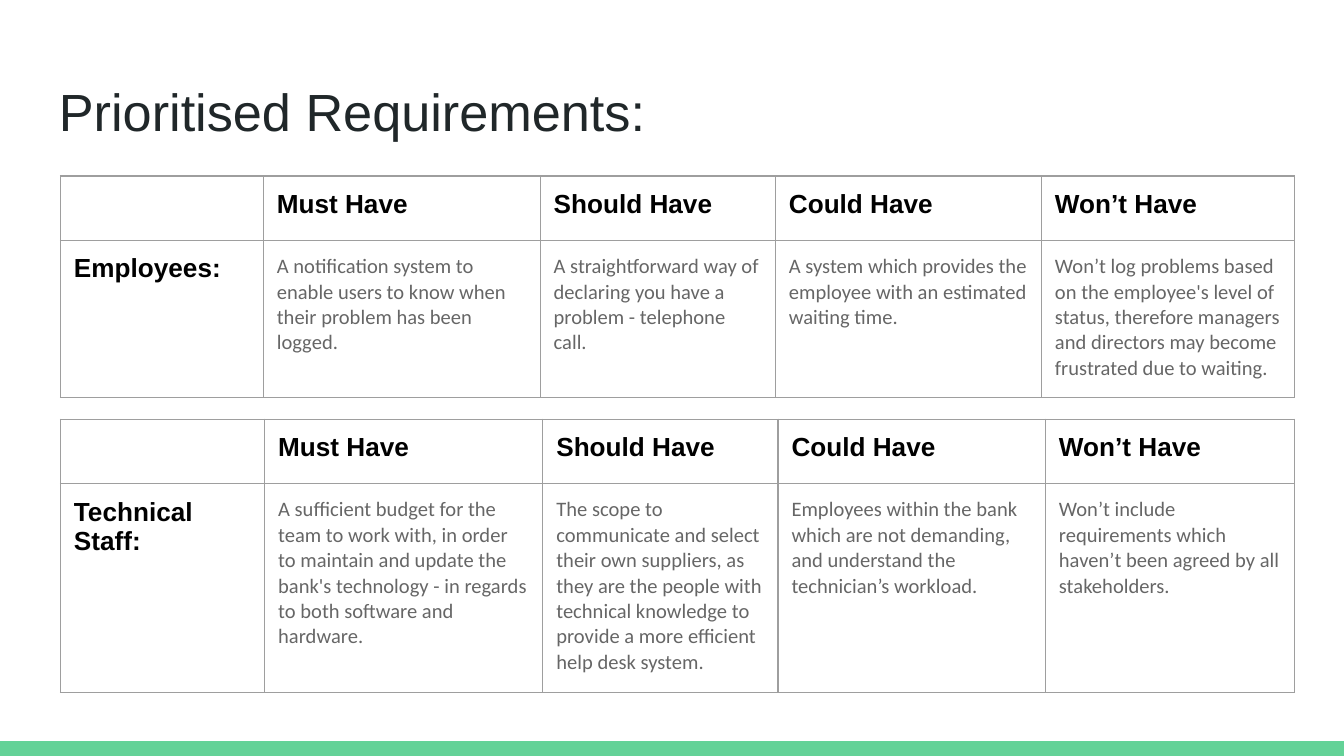
from lxml.etree import SubElement as Sub
from pptx import Presentation
from pptx.dml.color import RGBColor as Rgb
from pptx.enum.shapes import MSO_SHAPE as Form
from pptx.oxml.ns import qn
from pptx.util import Inches as In, Pt

WIDE = 10
HIGH = WIDE * 9 / 16
LEFT, PAD, HEAD, BAR = 0.45, 0.1, 0.48, 0.11
TITLE = "Prioritised Requirements:"
RANKS = ["", "Must Have", "Should Have", "Could Have", "Won’t Have"]
GRIDS = [
    {"top": 1.31, "body": 1.17, "cols": [1.51, 2.06, 1.75, 1.98, 1.88], "row": [
        "Employees:",
        "A notification system to enable users to know when their problem has been logged.",
        "A straightforward way of declaring you have a problem - telephone call.",
        "A system which provides the employee with an estimated waiting time.",
        "Won’t log problems based on the employee's level of status, therefore "
        "managers and directors may become frustrated due to waiting.",
    ]},
    {"top": 3.12, "body": 1.55, "cols": [1.52, 2.07, 1.75, 1.99, 1.85], "row": [
        "Technical Staff:",
        "A sufficient budget for the team to work with, in order to maintain and update "
        "the bank's technology - in regards to both software and hardware.",
        "The scope to communicate and select their own suppliers, as they are the people "
        "with technical knowledge to provide a more efficient help desk system.",
        "Employees within the bank which are not demanding, and understand the "
        "technician’s workload.",
        "Won’t include requirements which haven’t been agreed by all stakeholders.",
    ]},
]
LABEL = ("Arial", 14, "000000", True)
BODY = ("Calibri", 11, "666666", False)


def color(code):
    """Turn a hex string into a colour."""
    return Rgb.from_string(code)


def write(frame, text, face, size, code, bold):
    """Add one styled run to a wrapping text frame."""
    frame.word_wrap = True
    run = frame.paragraphs[0].add_run()
    run.text = text
    font = run.font
    font.name, font.size, font.bold = face, Pt(size), bold
    font.color.rgb = color(code)


def pad(box):
    """Give a cell or text frame equal margins."""
    box.margin_left = box.margin_right = In(PAD)
    box.margin_top = box.margin_bottom = In(PAD)


def border(cell, code="9E9E9E", width=0.75):
    """Draw all four sides of a cell."""
    props = cell._tc.get_or_add_tcPr()
    for spot, side in enumerate(("lnL", "lnR", "lnT", "lnB")):
        line = props.makeelement(qn("a:" + side), {"w": str(Pt(width))})
        props.insert(spot, line)
        fill = Sub(line, qn("a:solidFill"))
        Sub(fill, qn("a:srgbClr"), val=code)


def grid(slide, top, body, cols, row):
    """Place one table of ranked needs."""
    frame = slide.shapes.add_table(2, len(cols), In(LEFT), In(top),
                                   In(sum(cols)), In(HEAD + body))
    table = frame.table
    for col, width in zip(table.columns, cols):
        col.width = In(width)
    for line, height in zip(table.rows, (HEAD, body)):
        line.height = In(height)
    for r, texts in enumerate((RANKS, row)):
        for c, text in enumerate(texts):
            cell = table.cell(r, c)
            cell.fill.background()
            border(cell)
            if text:
                pad(cell)
                write(cell.text_frame, text, *(BODY if r and c else LABEL))


def main():
    """Build and save the slide."""
    deck = Presentation()
    deck.slide_width, deck.slide_height = In(WIDE), In(HIGH)
    slide = deck.slides.add_slide(deck.slide_layouts[6])
    bar = slide.shapes.add_shape(Form.RECTANGLE, 0, In(HIGH - BAR), In(WIDE), In(BAR))
    bar.shadow.inherit = False
    bar.fill.solid()
    bar.fill.fore_color.rgb = color("63D297")
    bar.line.fill.background()
    title = slide.shapes.add_textbox(In(0.34), In(0.49), In(9.32), In(0.63)).text_frame
    pad(title)
    write(title, TITLE, "Arial", 28, "202729", False)
    for item in GRIDS:
        grid(slide, **item)
    deck.save("out.pptx")


if __name__ == "__main__":
    main()
